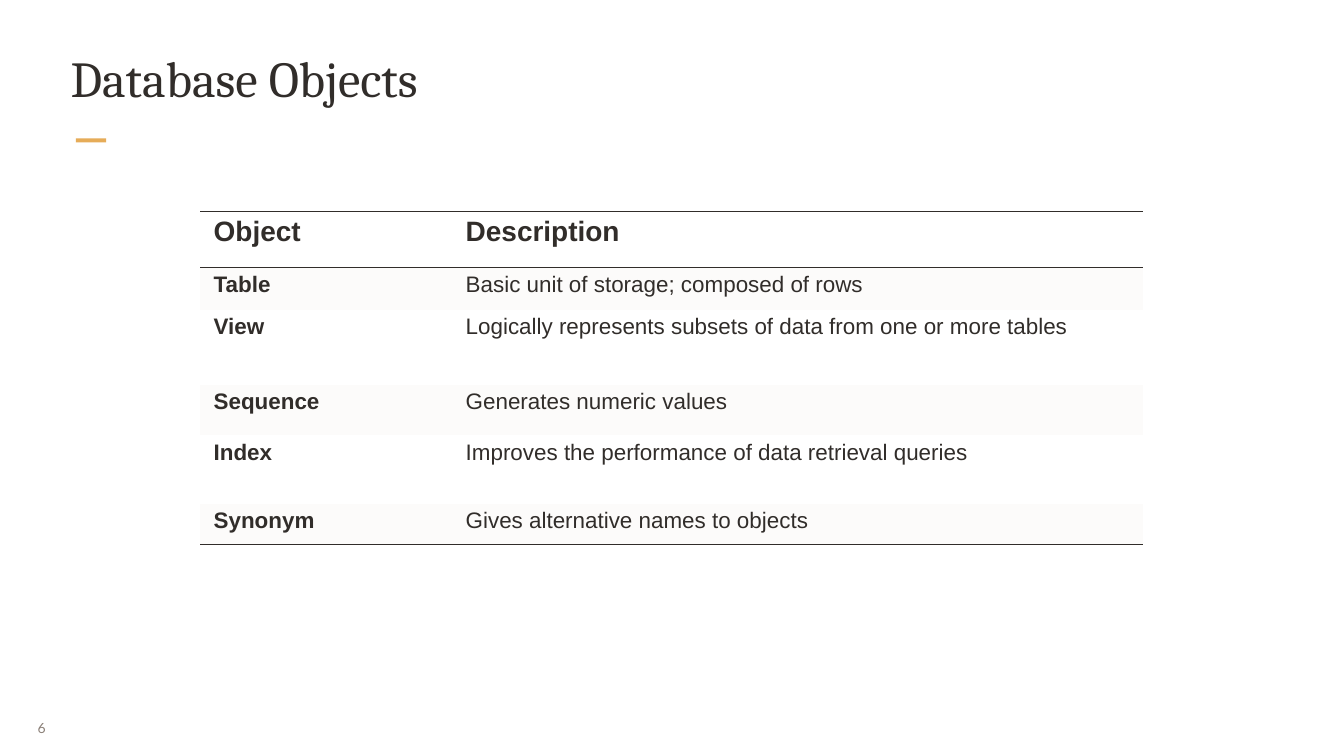
from pptx import Presentation
from pptx.dml.color import RGBColor
from pptx.enum import shapes, text
from pptx.oxml import parse_xml
from pptx.oxml.ns import nsdecls, qn
from pptx.util import Inches, Pt

INK = RGBColor(0x31, 0x2D, 0x2A)
ACCENT = RGBColor(0xE6, 0xAC, 0x58)
MUTED = RGBColor(0x8B, 0x80, 0x78)
BAND = RGBColor(0xFC, 0xFB, 0xFA)

NO_STYLE_NO_GRID = "{2D5ABB26-0587-4C30-8999-92F81FD0307C}"
COLUMN_WIDTHS = [3.75, 10.28]
ROW_HEIGHTS = [0.84, 0.63, 1.12, 0.75, 1.02, 0.6]
ROWS = [
    ("Object", "Description"),
    ("Table", "Basic unit of storage; composed of rows"),
    ("View", "Logically represents subsets of data from one or more tables"),
    ("Sequence", "Generates numeric values"),
    ("Index", "Improves the performance of data retrieval queries"),
    ("Synonym", "Gives alternative names to objects"),
]


def set_attributes(target, values):
    for name, value in values.items():
        setattr(target, name, value)


def set_margins(target, horizontal, vertical):
    set_attributes(target, {
        "margin_left": Inches(horizontal), "margin_right": Inches(horizontal),
        "margin_top": Inches(vertical), "margin_bottom": Inches(vertical),
    })


def write_text(text_frame, wording, font_name, size, color, bold=False):
    text_frame.text = wording
    paragraph = text_frame.paragraphs[0]
    paragraph.alignment = text.PP_ALIGN.LEFT
    set_attributes(paragraph.font, {"name": font_name, "size": Pt(size), "bold": bold})
    paragraph.font.color.rgb = color


def add_border(cell, side):
    """Rule one edge of a cell; side is "T" or "B"."""
    cell._tc.get_or_add_tcPr().append(parse_xml(
        f'<a:ln{side} {nsdecls("a")} w="{Pt(1)}"><a:solidFill>'
        f'<a:srgbClr val="{INK}"/></a:solidFill></a:ln{side}>'))


def add_heading(slide, left, top, width, height):
    title = slide.shapes.title
    set_attributes(title, {"left": Inches(left), "top": Inches(top),
                           "width": Inches(width), "height": Inches(height)})
    set_margins(title.text_frame, 0.03, 0.03)
    title.text_frame.vertical_anchor = text.MSO_ANCHOR.TOP
    write_text(title.text_frame, "Database Objects", "Cambria", 54, INK)

    accent = slide.shapes.add_shape(
        shapes.MSO_SHAPE.RECTANGLE, Inches(left + 0.11), Inches(top + 1.39),
        Inches(0.45), Inches(0.06))
    accent.shadow.inherit = False
    accent.fill.solid()
    accent.fill.fore_color.rgb = ACCENT
    accent.line.fill.background()


def add_object_table(slide, left, top):
    frame = slide.shapes.add_table(
        len(ROWS), len(COLUMN_WIDTHS), Inches(left), Inches(top),
        Inches(sum(COLUMN_WIDTHS)), Inches(sum(ROW_HEIGHTS)))
    table = frame.table
    table._tbl.tblPr.find(qn("a:tableStyleId")).text = NO_STYLE_NO_GRID
    for column, width in zip(table.columns, COLUMN_WIDTHS):
        column.width = Inches(width)
    for row, height in zip(table.rows, ROW_HEIGHTS):
        row.height = Inches(height)

    for row_index, wordings in enumerate(ROWS):
        is_header = row_index == 0
        for column_index, wording in enumerate(wordings):
            cell = table.cell(row_index, column_index)
            set_margins(cell, 0.2, 0.07)
            write_text(cell.text_frame, wording, "Arial", 30 if is_header else 24,
                       INK, bold=is_header or column_index == 0)
            if is_header:
                add_border(cell, "T")
            if is_header or row_index == len(ROWS) - 1:
                add_border(cell, "B")
            if row_index % 2:
                cell.fill.solid()
                cell.fill.fore_color.rgb = BAND
            else:
                cell.fill.background()


def add_page_number(slide, left, top, width, height):
    box = slide.shapes.add_textbox(
        Inches(left), Inches(top), Inches(width), Inches(height))
    set_margins(box.text_frame, 0.13, 0.07)
    set_attributes(box.text_frame, {
        "word_wrap": True, "vertical_anchor": text.MSO_ANCHOR.MIDDLE})
    write_text(box.text_frame, "6", "Lato", 15, MUTED)


def main():
    presentation = Presentation()
    presentation.slide_width = Inches(20)
    presentation.slide_height = Inches(11.25)
    slide = presentation.slides.add_slide(presentation.slide_layouts[5])
    add_heading(slide, 1.02, 0.67, 17.96, 1.28)
    add_object_table(slide, 2.98, 3.14)
    add_page_number(slide, 0.43, 10.54, 0.65, 0.58)
    presentation.save("out.pptx")


if __name__ == "__main__":
    main()
